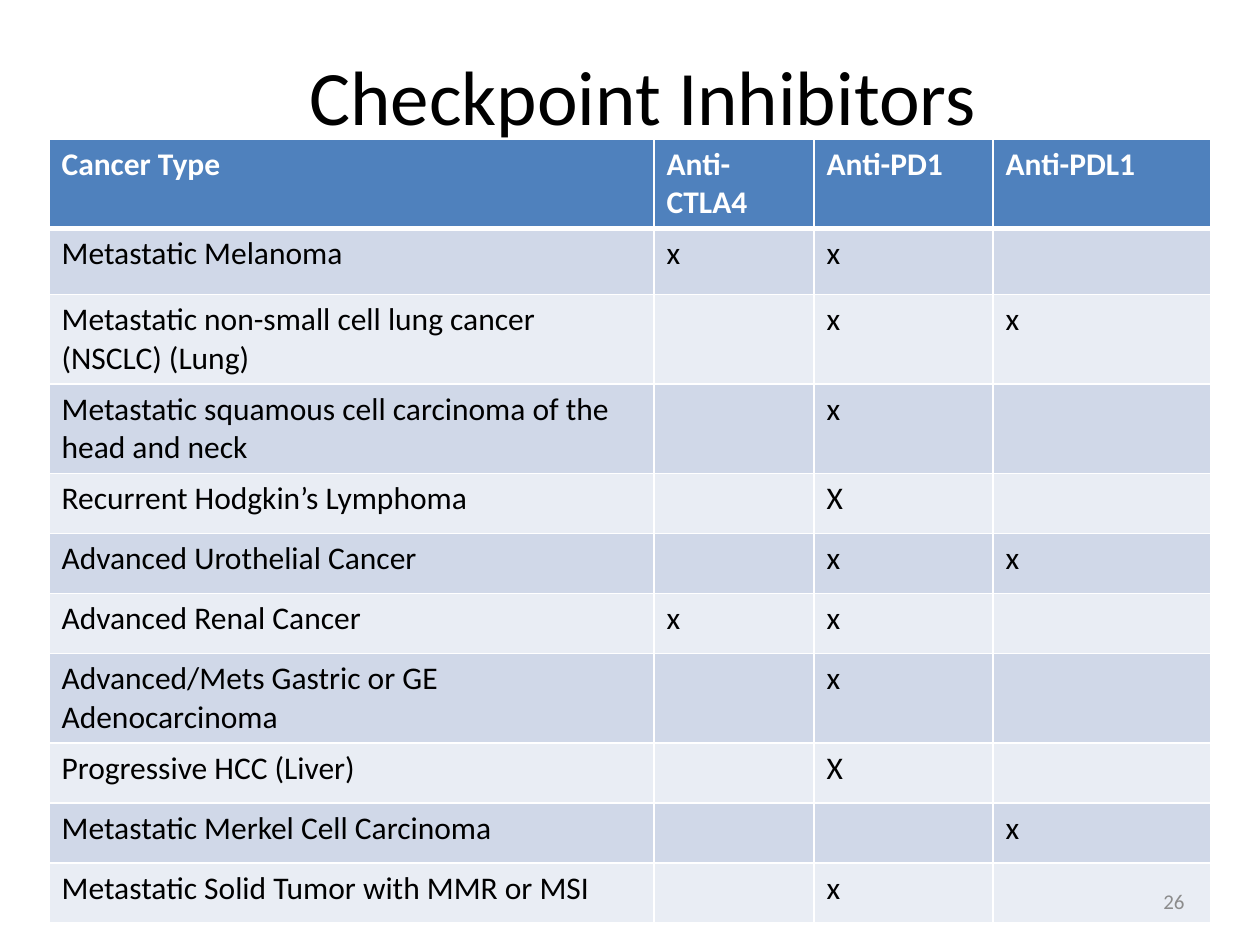
import pptx
import pptx.dml.color
import pptx.enum.text
import pptx.oxml.ns
import pptx.util
import lxml.etree

EMU_PER_PX = 914400 / 126
FONT = "Calibri"
COLORS = {
    "header": "4F81BD",
    "odd_row": "D0D8E8",
    "even_row": "E9EDF4",
    "white": "FFFFFF",
    "black": "000000",
    "number": "8C8C8C",
}
HEADINGS = ("Cancer Type", "Anti-CTLA4", "Anti-PD1", "Anti-PDL1")
APPROVALS = (
    ("Metastatic Melanoma", "x", "x", ""),
    ("Metastatic non-small cell lung cancer (NSCLC) (Lung)", "", "x", "x"),
    ("Metastatic squamous cell carcinoma of the head and neck", "", "x", ""),
    ("Recurrent Hodgkin’s Lymphoma", "", "X", ""),
    ("Advanced Urothelial Cancer", "", "x", "x"),
    ("Advanced Renal Cancer", "x", "x", ""),
    ("Advanced/Mets Gastric or GE Adenocarcinoma", "", "x", ""),
    ("Progressive HCC (Liver)", "", "X", ""),
    ("Metastatic Merkel Cell Carcinoma", "", "", "x"),
    ("Metastatic Solid Tumor with MMR or MSI", "", "x", ""),
)
COLUMN_WIDTHS = (605, 160, 179, 218)
ROW_HEIGHT = 60
MELANOMA_ROW_HEIGHT = 66


def px(length):
    return pptx.util.Emu(round(length * EMU_PER_PX))


def rgb(name):
    return pptx.dml.color.RGBColor.from_string(COLORS[name])


def style_runs(paragraph, size, color, bold=False):
    for run in paragraph.runs:
        run.font.name = FONT
        run.font.size = pptx.util.Pt(size)
        run.font.bold = bold
        run.font.color.rgb = rgb(color)


def add_label(slide, box, text, size, color, align):
    label = slide.shapes.add_textbox(*map(px, box))
    frame = label.text_frame
    frame.word_wrap = True
    frame.vertical_anchor = pptx.enum.text.MSO_ANCHOR.MIDDLE
    frame.text = text
    frame.paragraphs[0].alignment = align
    style_runs(frame.paragraphs[0], size, color)


def add_borders(cell, top, bottom):
    """Draw white cell borders; must run before the cell is filled."""
    properties = cell._tc.get_or_add_tcPr()
    qn = pptx.oxml.ns.qn
    for side, points in (("L", 1), ("R", 1), ("T", top), ("B", bottom)):
        border = lxml.etree.SubElement(
            properties, qn(f"a:ln{side}"), w=str(pptx.util.Pt(points)))
        fill = lxml.etree.SubElement(border, qn("a:solidFill"))
        lxml.etree.SubElement(fill, qn("a:srgbClr"), val=COLORS["white"])


def add_approval_table(slide, box):
    rows = (HEADINGS, *APPROVALS)
    table = slide.shapes.add_table(
        len(rows), len(HEADINGS), *map(px, box)).table
    for column, width in zip(table.columns, COLUMN_WIDTHS):
        column.width = px(width)
    for row_index, values in enumerate(rows):
        is_header = row_index == 0
        if is_header:
            fill = "header"
        else:
            fill = "odd_row" if row_index % 2 else "even_row"
        height = MELANOMA_ROW_HEIGHT if row_index == 1 else ROW_HEIGHT
        table.rows[row_index].height = px(height)
        for cell, value in zip(table.rows[row_index].cells, values):
            add_borders(cell, top=3 if row_index == 1 else 1,
                        bottom=3 if is_header else 1)
            cell.fill.solid()
            cell.fill.fore_color.rgb = rgb(fill)
            if value:
                cell.text_frame.text = value
                style_runs(cell.text_frame.paragraphs[0], 18,
                           "white" if is_header else "black", is_header)


def add_checkpoint_slide(presentation):
    align = pptx.enum.text.PP_ALIGN
    slide = presentation.slides.add_slide(presentation.slide_layouts[6])
    table_height = MELANOMA_ROW_HEIGHT + ROW_HEIGHT * len(APPROVALS)
    add_approval_table(slide, (49, 139, sum(COLUMN_WIDTHS), table_height))
    add_label(slide, (49, 38, 1188, 113), "Checkpoint Inhibitors",
              44, "black", align.CENTER)
    add_label(slide, (903, 876, 294, 50), "26", 12, "number", align.RIGHT)


def main():
    presentation = pptx.Presentation()
    presentation.slide_width = px(1260)
    presentation.slide_height = px(945)
    add_checkpoint_slide(presentation)
    presentation.save("out.pptx")


if __name__ == "__main__":
    main()
